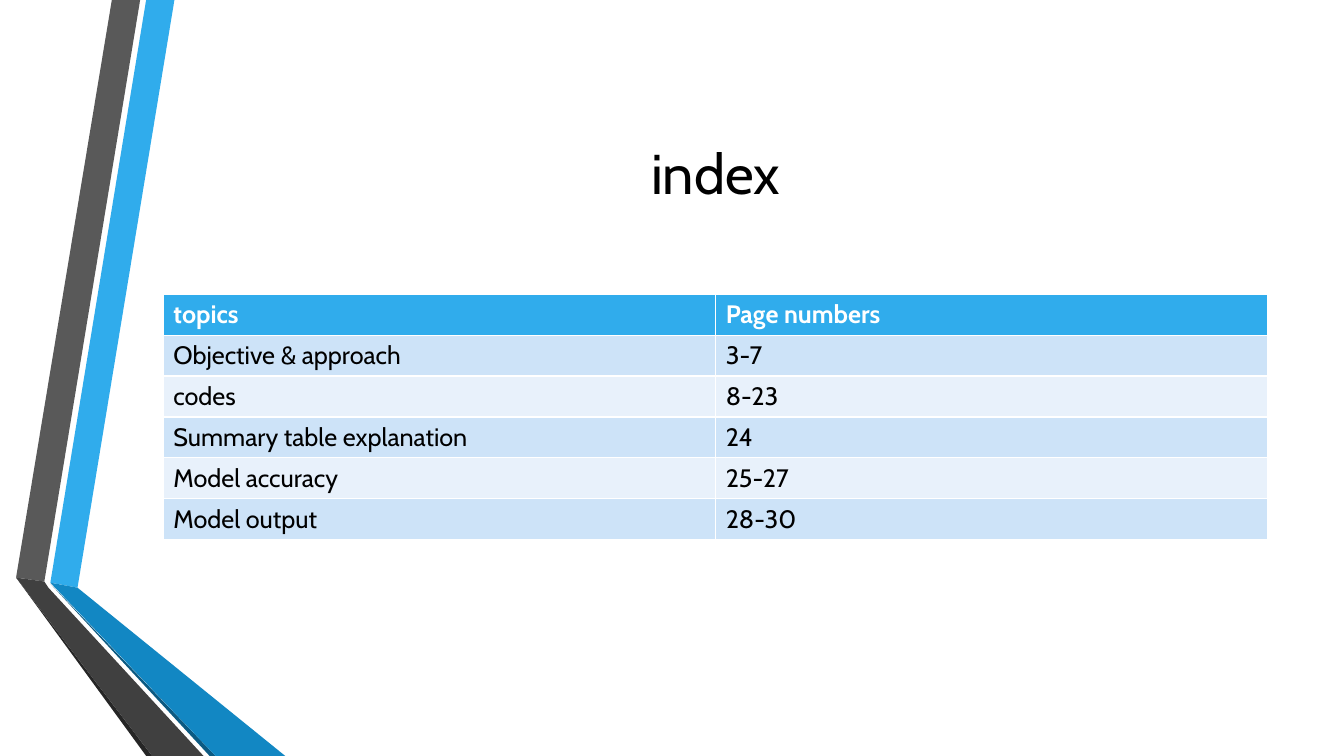
"""Builds the index slide with its folded ribbons and table of topics."""
from pptx import Presentation
from pptx import util as u
from pptx.dml.color import RGBColor
from pptx.enum import text

WHITE = RGBColor(0xFF, 0xFF, 0xFF)
BLACK = RGBColor(0x00, 0x00, 0x00)
SKY = RGBColor(0x30, 0xAC, 0xEC)
AZURE = RGBColor(0x12, 0x87, 0xC3)
NAVY = RGBColor(0x0C, 0x5A, 0x82)
GREY = RGBColor(0x59, 0x59, 0x59)
CHARCOAL = RGBColor(0x40, 0x40, 0x40)
SOOT = RGBColor(0x26, 0x26, 0x26)
BAND_DARK = RGBColor(0xCD, 0xE3, 0xF8)
BAND_LIGHT = RGBColor(0xE8, 0xF1, 0xFB)

LEFT, WIDTH = 116.64, 789.12

RIBBONS = [
    (SKY, [(36, 416.2), (55.4, 419.8), (124.6, 0), (104.4, 0)]),
    (GREY, [(100.1, 0), (79.9, 0), (11.5, 412.6), (31.7, 415.4)]),
    (SOOT, [(11.5, 412.6), (104.4, 540), (108.7, 540)]),
    (NAVY, [(36, 416.9), (149.8, 540), (154.1, 540)]),
    (AZURE, [(36, 416.2), (154.1, 540), (203.8, 540), (55.4, 419.8)]),
    (CHARCOAL, [(145.4, 540), (34.6, 419.8), (31.7, 415.4), (11.5, 412.6), (108.7, 540)]),
]

INDEX = [
    ("topics", "Page numbers"),
    ("Objective & approach", "3-7"),
    ("codes", "8-23"),
    ("Summary table explanation", "24"),
    ("Model accuracy", "25-27"),
    ("Model output", "28-30"),
]


class IndexSlide:
    """Holds the slide's font and the slide being filled."""

    font = "Cabin"

    def __init__(self, deck):
        self.slide = deck.slides.add_slide(deck.slide_layouts[5])

    def label(self, frame, words, size, color, bold=False):
        frame.text = words
        font = frame.paragraphs[0].runs[0].font
        font.name, font.size, font.bold = self.font, u.Pt(size), bold
        font.color.rgb = color

    def ribbon(self, color, corners):
        start, *rest = [(u.Pt(x), u.Pt(y)) for x, y in corners]
        outline = self.slide.shapes.build_freeform(*start)
        outline.add_line_segments(rest)
        band = outline.convert_to_shape()
        band.shadow.inherit = False
        band.fill.solid()
        band.fill.fore_color.rgb = color
        band.line.fill.background()

    def title(self, words, top, height):
        heading = self.slide.shapes.title
        heading.left, heading.top = u.Pt(LEFT), u.Pt(top)
        heading.width, heading.height = u.Pt(WIDTH), u.Pt(height)
        self.label(heading.text_frame, words, 40, BLACK)
        heading.text_frame.vertical_anchor = text.MSO_ANCHOR.MIDDLE
        heading.text_frame.paragraphs[0].alignment = text.PP_ALIGN.CENTER

    def table(self, rows, top, row_height):
        grid = self.slide.shapes.add_table(
            len(rows), len(rows[0]), u.Pt(LEFT), u.Pt(top),
            u.Pt(WIDTH), u.Pt(row_height * len(rows))).table
        for r, entries in enumerate(rows):
            header = r == 0
            fill = SKY if header else (BAND_LIGHT, BAND_DARK)[r % 2]
            for c, words in enumerate(entries):
                cell = grid.cell(r, c)
                cell.fill.solid()
                cell.fill.fore_color.rgb = fill
                self.label(cell.text_frame, words, 18, WHITE if header else BLACK, header)


def main():
    deck = Presentation()
    deck.slide_width, deck.slide_height = u.Pt(960), u.Pt(540)
    index = IndexSlide(deck)
    for color, corners in RIBBONS:
        index.ribbon(color, corners)
    index.title("index", 54, 138.24)
    index.table(INDEX, 210.24, 29.16)
    deck.save("out.pptx")


if __name__ == "__main__":
    main()
